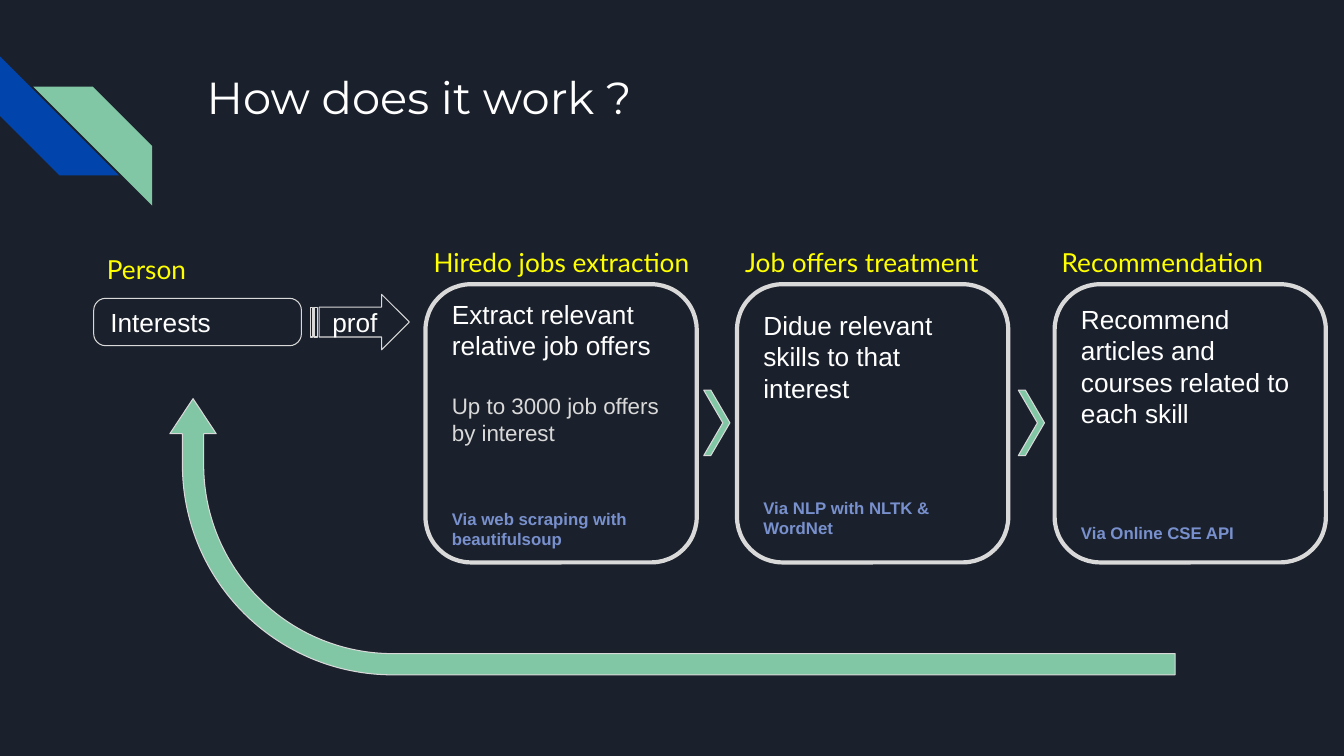
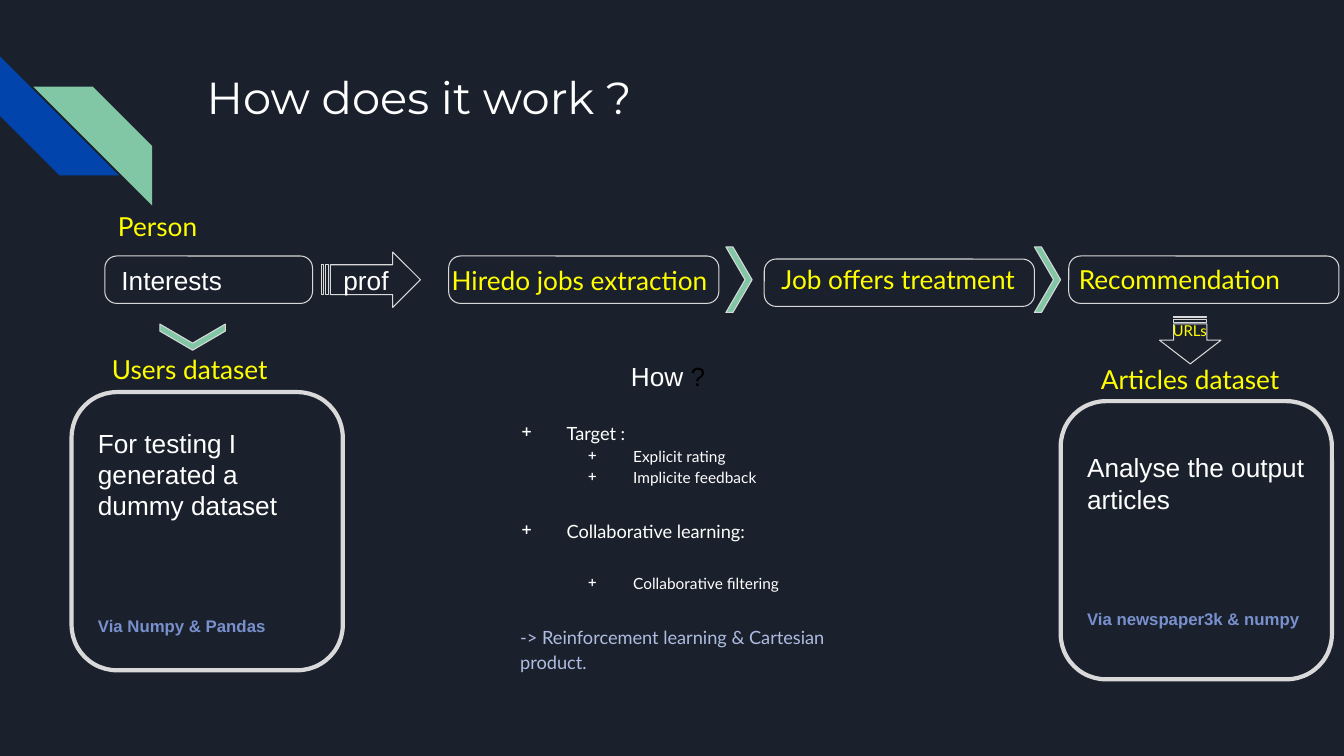
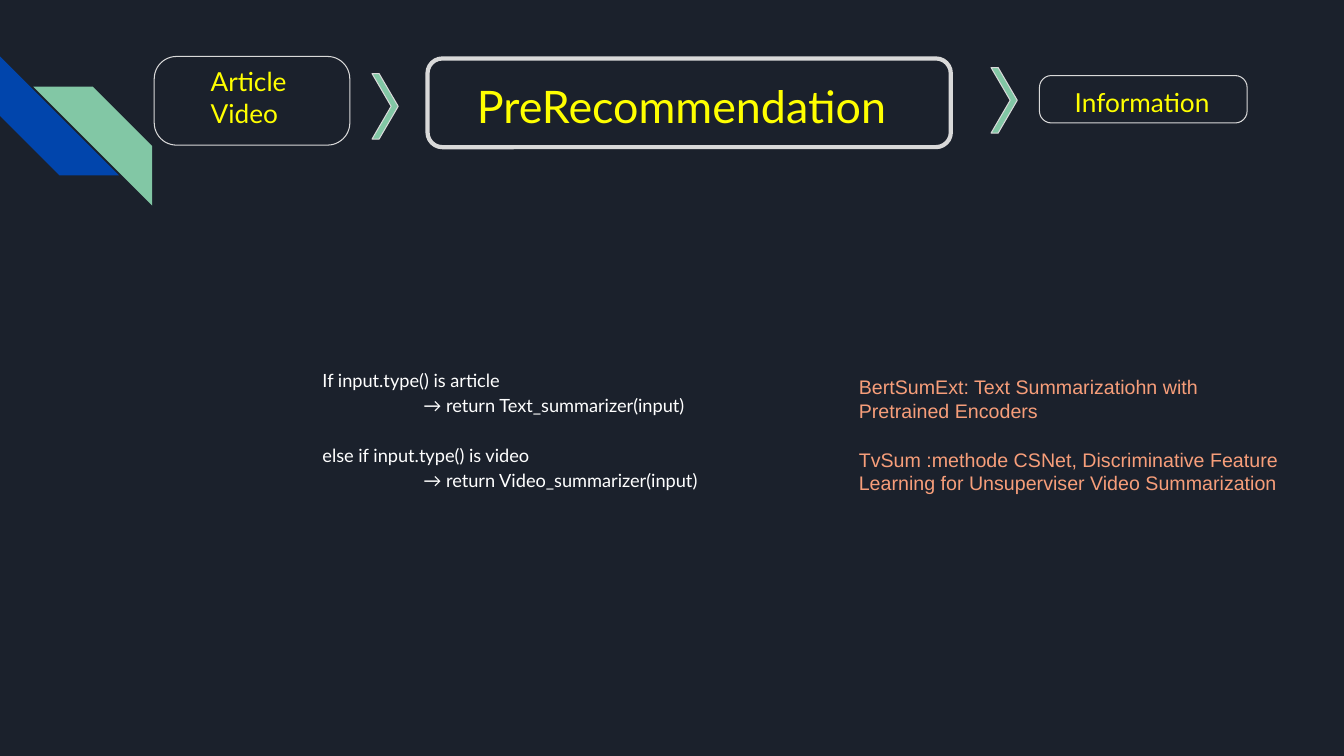
"""Build three slides on a job and article recommendation pipeline."""
from dataclasses import dataclass
from typing import Optional

from lxml import etree
from pptx import Presentation
from pptx.dml.color import RGBColor
from pptx.enum.shapes import MSO_SHAPE
from pptx.enum.text import MSO_ANCHOR, PP_ALIGN
from pptx.oxml.ns import qn
from pptx.util import Inches, Pt

STRIPE = MSO_SHAPE.DIAGONAL_STRIPE
ROUNDED = MSO_SHAPE.ROUNDED_RECTANGLE
STRIPED_ARROW = MSO_SHAPE.STRIPED_RIGHT_ARROW
CHEVRON = MSO_SHAPE.CHEVRON
BENT_ARROW = MSO_SHAPE.BENT_ARROW
TOP, MIDDLE = MSO_ANCHOR.TOP, MSO_ANCHOR.MIDDLE
LEFT = PP_ALIGN.LEFT

COLORS = {
    "night": "1B212C", "blue": "0145AC", "green": "82C7A5", "white": "FFFFFF",
    "grey": "D9D9D9", "yellow": "FFFF00", "violet": "7890CD", "lilac": "AEBCE1",
    "coral": "F79E7A", "black": "000000",
}
BODY_SIZE = 18.7
BLANK_LINE = 22.4
PILL_CORNER = 0.252
CARD_CORNER = 0.167
CARD_WIDTH, CARD_HEIGHT = 2.69, 2.76


@dataclass(frozen=True)
class Span:
    text: str
    size: float = BODY_SIZE
    color: str = "white"
    font: str = "Arial"
    bold: bool = False


@dataclass(frozen=True)
class Para:
    spans: tuple[Span, ...]
    before: float = 0
    spacing: Optional[float] = None
    margin: float = 0
    hanging: float = 0
    bullet: str = ""
    level: int = 0


@dataclass(frozen=True)
class Area:
    left: float
    top: float
    width: float
    height: float


@dataclass(frozen=True)
class Look:
    kind: int
    adjustments: tuple[float, ...]
    fill: str = ""
    line: str = "grey"
    weight: float = 0.75
    rotation: float = 0


@dataclass(frozen=True)
class Card:
    left: float
    top: float
    label: str
    label_offset: float
    label_width: float
    task: str
    tool: str
    gap_lines: int = 3
    detail: str = ""


PILL = Look(ROUNDED, (PILL_CORNER,))
CARD = Look(ROUNDED, (CARD_CORNER,), weight=3)
NEXT = Look(CHEVRON, (0.729,), "green")
DOWN = Look(CHEVRON, (0.729,), "green", rotation=90)
PROFILE = Look(STRIPED_ARROW, (0.54, 0.5))
URL_ARROW = Look(STRIPED_ARROW, (0.54, 0.5), rotation=90)
FEEDBACK = Look(BENT_ARROW, (0.077, 0.084, 0.127, 0.761), "green", rotation=270)
BLUE_STRIPE = Look(STRIPE, (0.5,), "blue", "", rotation=270)
GREEN_STRIPE = Look(STRIPE, (0.5,), "green", "", rotation=90)

JOBS = "Hiredo jobs extraction"
TREATMENT = "Job offers treatment"
ADVICE = "Recommendation"
FLOW_CARDS = (
    Card(4.22, 2.82, JOBS, -0.05, 3.09, "Extract relevant relative job offers",
         "Via web scraping with beautifulsoup", 2, "Up to 3000 job offers by interest"),
    Card(7.31, 2.82, TREATMENT, -0.05, 3.09, "Didue relevant skills to that interest",
         "Via NLP with NLTK & WordNet"),
    Card(10.46, 2.82, ADVICE, -0.06, 2.7,
         "Recommend articles and courses related to each skill", "Via Online CSE API"),
)
DATASET_CARDS = (
    Card(10.52, 3.98, "Articles dataset", 0.27, 2.5, "Analyse the output articles",
         "Via newspaper3k & numpy"),
    Card(0.71, 3.89, "Users dataset", 0.27, 3.09, "For testing I generated a dummy dataset",
         "Via Numpy & Pandas"),
)


def color(name: str) -> RGBColor:
    return RGBColor.from_string(COLORS[name])


def write(shape, paras: tuple[Para, ...], anchor=TOP, inset: float = 0.13,
          wrap: bool = True) -> None:
    frame = shape.text_frame
    frame.word_wrap = wrap
    frame.vertical_anchor = anchor
    frame.margin_left = frame.margin_right = Inches(inset)
    frame.margin_top = frame.margin_bottom = Inches(inset)
    for index, item in enumerate(paras):
        para = frame.paragraphs[0] if index == 0 else frame.add_paragraph()
        para.alignment = LEFT
        para.level = item.level
        para.space_before = Pt(item.before)
        if item.spacing:
            para.line_spacing = item.spacing
        properties = para._p.get_or_add_pPr()
        properties.set("marL", str(Inches(item.margin)))
        properties.set("indent", str(Inches(-item.hanging)))
        if item.bullet:
            etree.SubElement(properties, qn("a:buChar")).set("char", item.bullet)
        for span in item.spans:
            run = para.add_run()
            run.text = span.text
            run.font.size = Pt(span.size)
            run.font.name = span.font
            run.font.bold = span.bold
            run.font.color.rgb = color(span.color)


def draw(page, area: Area, look: Look):
    shape = page.shapes.add_shape(look.kind, Inches(area.left), Inches(area.top),
                                  Inches(area.width), Inches(area.height))
    shape.shadow.inherit = False
    shape.rotation = look.rotation
    for index, value in enumerate(look.adjustments):
        shape.adjustments[index] = value
    if look.fill:
        shape.fill.solid()
        shape.fill.fore_color.rgb = color(look.fill)
    else:
        shape.fill.background()
    if look.line:
        shape.line.color.rgb = color(look.line)
        shape.line.width = Pt(look.weight)
    else:
        shape.line.fill.background()
    return shape


def add_text(page, area: Area, paras: tuple[Para, ...], inset: float = 0.13,
             wrap: bool = True) -> None:
    box = page.shapes.add_textbox(Inches(area.left), Inches(area.top),
                                  Inches(area.width), Inches(area.height))
    write(box, paras, inset=inset, wrap=wrap)


def add_label(page, left: float, top: float, width: float, *lines: str,
              size: float = BODY_SIZE) -> None:
    paras = tuple(Para((Span(line, size, "yellow", "Lato"),)) for line in lines)
    add_text(page, Area(left, top, width, 0.73), paras)


def add_title(page, area: Area, span: Span) -> None:
    add_text(page, area, (Para((span,)),))


def add_page(deck):
    page = deck.slides.add_slide(deck.slide_layouts[6])
    page.background.fill.solid()
    page.background.fill.fore_color.rgb = color("night")
    draw(page, Area(0, 0.56, 1.18, 1.18), BLUE_STRIPE)
    draw(page, Area(0.33, 0.86, 1.18, 1.18), GREEN_STRIPE)
    return page


def add_chevron(page, left: float, top: float, look: Look = NEXT) -> None:
    draw(page, Area(left, top, 0.26, 0.65), look)


def add_card(page, card: Card) -> None:
    box = draw(page, Area(card.left, card.top, CARD_WIDTH, CARD_HEIGHT), CARD)
    paras = [Para((Span(card.task),))]
    if card.detail:
        paras.append(Para((Span(card.detail, 16, "grey"),), BLANK_LINE))
    paras.append(Para((Span(card.tool, 12, "violet", bold=True),),
                      card.gap_lines * BLANK_LINE))
    write(box, tuple(paras), MIDDLE)
    add_label(page, card.left + card.label_offset, card.top - 0.51,
              card.label_width, card.label)


def add_person(page, left: float, top: float) -> None:
    pill = draw(page, Area(left, top, 2.06, 0.47), PILL)
    write(pill, (Para((Span("Interests"),)),), MIDDLE)
    add_label(page, left, top - 0.58, 1.09, "Person")
    arrow = draw(page, Area(left + 2.15, top - 0.04, 0.98, 0.55), PROFILE)
    write(arrow, (Para((Span("prof"),)),), MIDDLE)


def add_question_page(deck):
    page = add_page(deck)
    add_title(page, Area(1.92, 0.56, 10.26, 1.33),
              Span("How does it work ?", 32, font="Montserrat"))
    return page


def build_flow(deck) -> None:
    page = add_question_page(deck)
    add_person(page, 0.93, 2.96)
    for card in FLOW_CARDS:
        add_card(page, card)
    for left in (6.98, 10.1):
        add_chevron(page, left, 3.87)
    draw(page, Area(5.3, 0.34, 2.74, 9.97), FEEDBACK)


def method(text: str, level: int = 0, before: float = 0) -> Para:
    return Para((Span(text, 11 if level else 13, font="Lato"),), before, 1.15,
                1.33 if level else 0.67, 0.45, "+", level)


def build_datasets(deck) -> None:
    page = add_question_page(deck)
    add_person(page, 1.04, 2.54)
    for left, top, label_left, label_top, width, label in (
            (4.45, 2.54, 4.35, 2.49, 3.09, JOBS),
            (7.58, 2.57, 7.62, 2.48, 3.09, TREATMENT),
            (10.6, 2.54, 10.57, 2.48, 2.7, ADVICE)):
        add_label(page, label_left, label_top, width, label)
        draw(page, Area(left, top, 2.68, 0.47), PILL)
    for left in (7.2, 10.26):
        add_chevron(page, left, 2.45)
    for card in DATASET_CARDS:
        add_card(page, card)
    draw(page, Area(11.57, 3.07, 0.47, 0.61), URL_ARROW)
    add_label(page, 11.5, 3.1, 1, "URLs", size=10.7)
    add_chevron(page, 1.78, 3.02, DOWN)
    add_text(page, Area(6.16, 3.47, 0.94, 0.42),
             (Para((Span("How"), Span(" ?", color="black"))),), 0.1, False)
    conclusion = Span("-> Reinforcement learning & Cartesian product.", 13, "lilac", "Lato")
    add_text(page, Area(4.82, 4.03, 3.69, 3.25), (
        method("Target :"),
        method("Explicit rating", 1),
        method("Implicite feedback", 1),
        method("Collaborative learning:", before=21.3),
        method("Collaborative filtering", 1, 21.3),
        Para((conclusion,), 21.3, 1.15, 0.21),
    ))


def build_summaries(deck) -> None:
    page = add_page(deck)
    add_title(page, Area(4.6, 0.65, 8.7, 1.33),
              Span(f"Pre{ADVICE}", 32, "yellow", "Lato"))
    draw(page, Area(4.24, 0.58, 5.19, 0.88), CARD)
    add_chevron(page, 3.69, 0.73)
    draw(page, Area(1.53, 0.56, 1.94, 0.88), PILL)
    add_label(page, 1.96, 0.52, 1.2, "Article", "Video")
    add_chevron(page, 9.83, 0.67)
    draw(page, Area(10.31, 0.75, 2.06, 0.47), PILL)
    add_label(page, 10.53, 0.73, 1.63, "Information")
    code = tuple(
        Para((Span(text, 13, font="Lato"),), before, 1.15, margin)
        for text, margin, before in (
            ("If input.type() is article", 0, 0),
            ("→ return Text_summarizer(input)", 1, 0),
            ("else if input.type() is video", 0, 18),
            ("→ return Video_summarizer(input)", 1, 0)))
    add_text(page, Area(3.1, 3.53, 5.2, 1.5), code, 0.1)
    for top, width, text in (
            (3.62, 4.22, "BertSumExt: Text Summarizatiohn with Pretrained Encoders"),
            (4.34, 4.66, "TvSum :methode CSNet, Discriminative Feature Learning "
                         "for Unsuperviser Video Summarization")):
        add_text(page, Area(8.42, top, width, 0.57),
                 (Para((Span(text, 14, "coral"),)),), 0.1)


def main() -> None:
    deck = Presentation()
    deck.slide_width, deck.slide_height = Inches(13.33), Inches(7.5)
    build_flow(deck)
    build_datasets(deck)
    build_summaries(deck)
    deck.save("out.pptx")


main()
